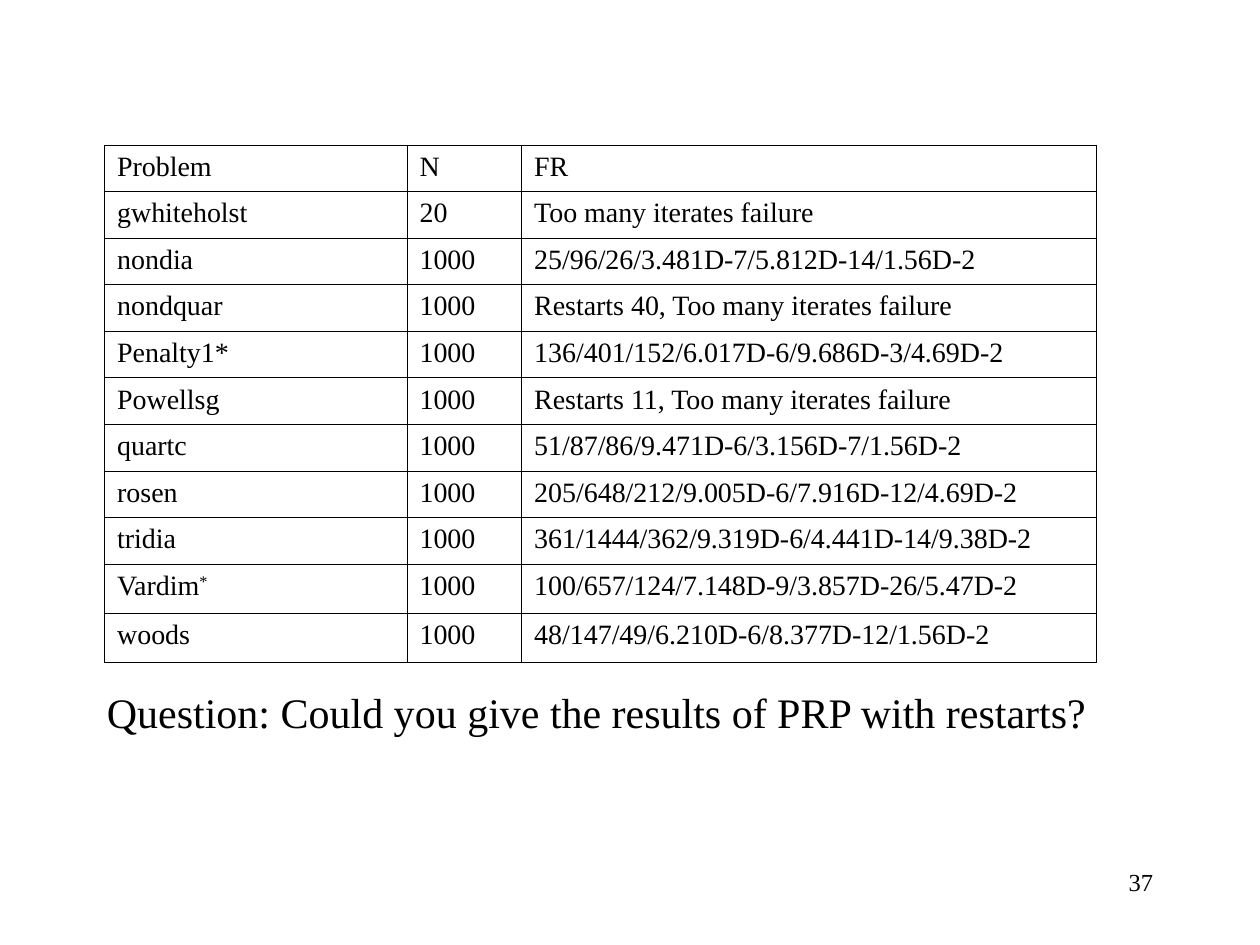
from lxml import etree
from pptx import Presentation
from pptx.dml.color import RGBColor
from pptx.enum.text import PP_ALIGN
from pptx.oxml.ns import qn
from pptx.util import Inches, Pt

RIGHT = PP_ALIGN.RIGHT
BLACK = "000000"
BORDER_WIDTH = Pt(0.45)


def style(p, size):
    for r in p.runs:
        r.font.name = "Times New Roman"
        r.font.size = Pt(size)
        r.font.color.rgb = RGBColor.from_string(BLACK)


def add_borders(cell):
    tcPr = cell._tc.get_or_add_tcPr()
    for i, side in enumerate(("a:lnL", "a:lnR", "a:lnT", "a:lnB")):
        ln = etree.Element(qn(side), w=str(int(BORDER_WIDTH)))
        fill = etree.SubElement(ln, qn("a:solidFill"))
        etree.SubElement(fill, qn("a:srgbClr"), val=BLACK)
        tcPr.insert(i, ln)


prs = Presentation()
prs.slide_width, prs.slide_height = Inches(10), Inches(7.5)
s = prs.slides.add_slide(prs.slide_layouts[6])

# Results table
rows = [
    ("Problem", "N", "FR"),
    ("gwhiteholst", "20", "Too many iterates failure"),
    ("nondia", "1000", "25/96/26/3.481D-7/5.812D-14/1.56D-2"),
    ("nondquar", "1000", "Restarts 40, Too many iterates failure"),
    ("Penalty1*", "1000", "136/401/152/6.017D-6/9.686D-3/4.69D-2"),
    ("Powellsg", "1000", "Restarts 11, Too many iterates failure"),
    ("quartc", "1000", "51/87/86/9.471D-6/3.156D-7/1.56D-2"),
    ("rosen", "1000", "205/648/212/9.005D-6/7.916D-12/4.69D-2"),
    ("tridia", "1000", "361/1444/362/9.319D-6/4.441D-14/9.38D-2"),
    ("Vardim", "1000", "100/657/124/7.148D-9/3.857D-26/5.47D-2"),
    ("woods", "1000", "48/147/49/6.210D-6/8.377D-12/1.56D-2"),
]
table = s.shapes.add_table(len(rows), 3, Inches(0.83), Inches(1.15),
                           Inches(7.87), Inches(4.1)).table
table.first_row = table.horz_banding = False
for column, width in zip(table.columns, (2.4, 0.91, 4.56)):
    column.width = Inches(width)
for i, values in enumerate(rows):
    table.rows[i].height = Inches(0.37 if i < 9 else 0.39)
    for cell, value in zip(table.rows[i].cells, values):
        cell.fill.background()
        add_borders(cell)
        p = cell.text_frame.paragraphs[0]
        p.text = value
        if value == "Vardim":
            star = p.add_run()
            star.text = "*"
            star.font._element.set("baseline", "30000")
        style(p, 16)

# Question and slide number
for text, size, left, top, width, align in (
    ("Question: Could you give the results of PRP with restarts?",
     24, 0.75, 5.4, 8.19, None),
    ("37", 14, 7.17, 6.83, 2.08, RIGHT),
):
    box = s.shapes.add_textbox(Inches(left), Inches(top), Inches(width), Inches(0.5))
    tf = box.text_frame
    tf.word_wrap = True
    p = tf.paragraphs[0]
    p.text = text
    p.alignment = align
    style(p, size)

prs.save("out.pptx")
